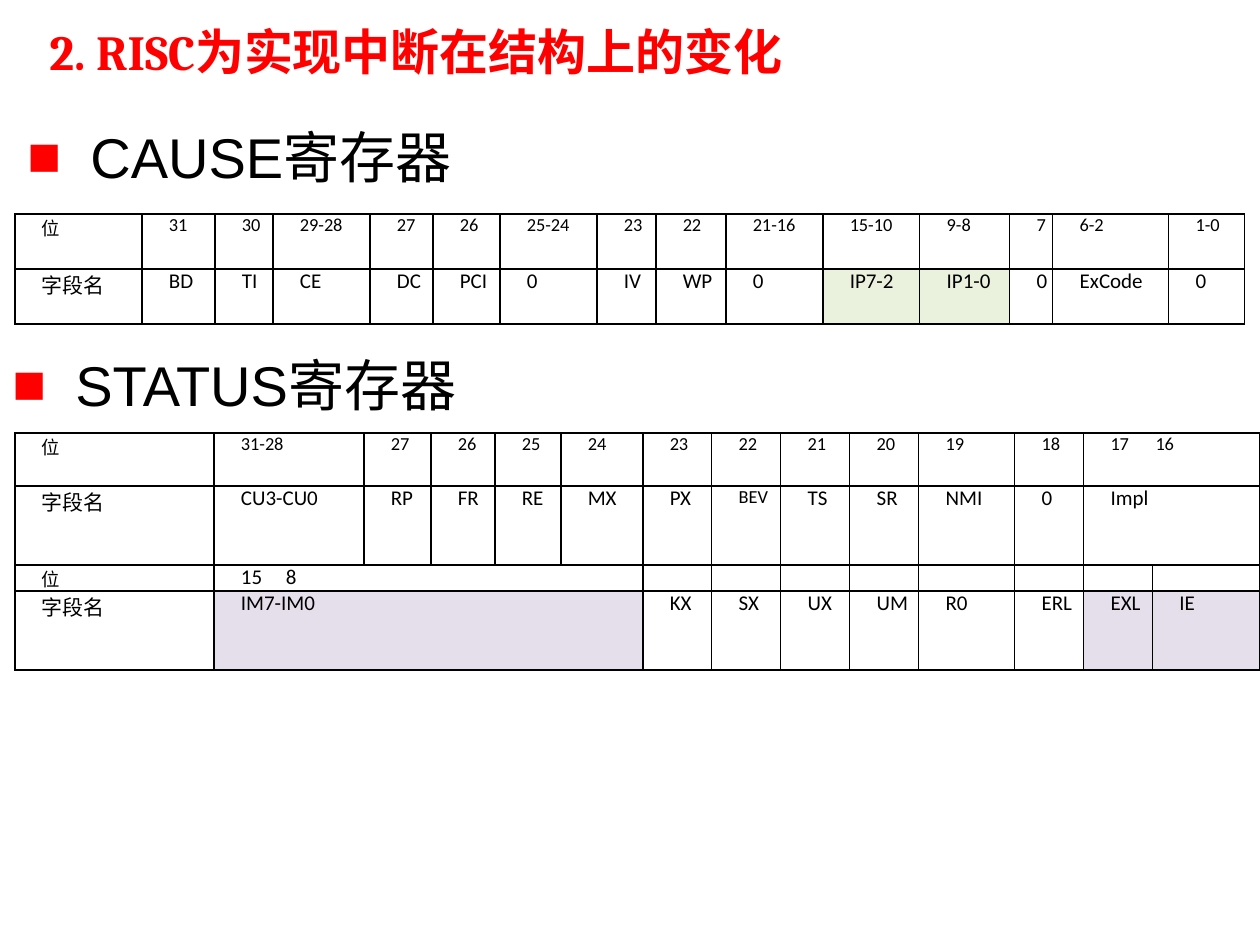
"""Builds a slide on the RISC CAUSE and STATUS interrupt registers."""
import lxml.etree
import pptx
import pptx.dml.color
import pptx.enum.text
import pptx.oxml.ns
import pptx.util

PX = 914400 // 126
COLORS = {"red": "FF0000", "black": "000000", "white": "FFFFFF", "green": "EAF1DD", "violet": "E5DFEC"}
ALIGN = pptx.enum.text.PP_ALIGN
SMALL, NORMAL = 10.5, 12

TITLE = {
    "box": (0, 0, 1235, 101),
    "text": "2. RISC为实现中断在结构上的变化",
    "font": {"name": "Cambria", "size": 28, "bold": True, "color": "red"},
}
HEADINGS = [
    {"box": (15, 116, 1201, 69), "text": "CAUSE寄存器"},
    {"box": (0, 344, 1201, 69), "text": "STATUS寄存器"},
]
HEADING_FONT = {"name": "Arial", "size": 32, "bold": False, "color": "black"}

# None continues the cell on its left.
CAUSE = {
    "origin": (15, 214),
    "columns": [127, 73, 58, 97, 63, 67, 97, 59, 70, 97, 97, 90, 43, 116, 76],
    "rows": [55, 55],
    "sizes": [SMALL, NORMAL],
    "alignments": [ALIGN.JUSTIFY, ALIGN.LEFT],
    "cells": [
        ["位", "31", "30", "29-28", "27", "26", "25-24", "23", "22", "21-16", "15-10", "9-8", "7", "6-2", "1-0"],
        ["字段名", "BD", "TI", "CE", "DC", "PCI", "0", "IV", "WP", "0", "IP7-2", "IP1-0", "0", "ExCode", "0"],
    ],
    "fills": {(1, 10): "green", (1, 11): "green"},
    "odd_sizes": {},
    "tabs": {},
}
STATUS = {
    "origin": (15, 433),
    "columns": [199, 150, 67, 64, 66, 82, 69, 69, 69, 69, 96, 69, 69, 107],
    "rows": [53, 79, 26, 79],
    "sizes": [SMALL, NORMAL, NORMAL, NORMAL],
    "alignments": [ALIGN.JUSTIFY] * 4,
    "cells": [
        ["位", "31-28", "27", "26", "25", "24", "23", "22", "21", "20", "19", "18", "17\t16", None],
        ["字段名", "CU3-CU0", "RP", "FR", "RE", "MX", "PX", "BEV", "TS", "SR", "NMI", "0", "Impl", None],
        ["位", "15\t8", None, None, None, None, "", "", "", "", "", "", "", ""],
        ["字段名", "IM7-IM0", None, None, None, None, "KX", "SX", "UX", "UM", "R0", "ERL", "EXL", "IE"],
    ],
    "fills": {
        **{(row, column): "white" for row in (1, 2, 3) for column in (10, 11)},
        **{(3, column): "violet" for column in (1, 12, 13)},
    },
    "odd_sizes": {(1, 7): SMALL, (2, 0): SMALL},
    "tabs": {(0, 12): 62, (2, 1): 384},
}


def add_element(parent, tag, **attributes):
    values = {key: str(value) for key, value in attributes.items()}
    return lxml.etree.SubElement(parent, pptx.oxml.ns.qn(tag), values)


def rgb(color):
    return pptx.dml.color.RGBColor.from_string(COLORS[color])


def add_run(paragraph, text, name, size, color, bold=False):
    run = paragraph.add_run()
    run.text = text
    for key, value in {"name": name, "size": pptx.util.Pt(size), "bold": bold}.items():
        setattr(run.font, key, value)
    run.font.color.rgb = rgb(color)


def add_text_box(slide, box, text, font):
    frame = slide.shapes.add_textbox(*(length * PX for length in box)).text_frame
    frame.word_wrap = True
    add_run(frame.paragraphs[0], text, **font)
    return frame


def add_heading(slide, box, text):
    paragraph = add_text_box(slide, box, text, HEADING_FONT).paragraphs[0]
    properties = paragraph._p.get_or_add_pPr()
    properties.set("marL", str(63 * PX))
    properties.set("indent", str(-63 * PX))
    bullet_color = add_element(properties, "a:buClr")
    add_element(bullet_color, "a:srgbClr", val=COLORS["red"])
    add_element(properties, "a:buFont", typeface="Arial")
    add_element(properties, "a:buChar", char="■")


def format_cell(cell, text, size, alignment, fill, tab):
    margins = {"margin_left": 9, "margin_right": 9, "margin_top": 0, "margin_bottom": 0}
    for key, value in margins.items():
        setattr(cell, key, value * PX)
    for side in ("a:lnL", "a:lnR", "a:lnT", "a:lnB"):
        line = add_element(cell._tc.get_or_add_tcPr(), side, w=pptx.util.Pt(1))
        solid = add_element(line, "a:solidFill")
        add_element(solid, "a:srgbClr", val=COLORS["black"])
    if fill:
        cell.fill.solid()
        cell.fill.fore_color.rgb = rgb(fill)
    else:
        cell.fill.background()
    paragraph = cell.text_frame.paragraphs[0]
    properties = paragraph._p.get_or_add_pPr()
    properties.set("indent", str(18 * PX))
    if tab:
        tabs = add_element(properties, "a:tabLst")
        add_element(tabs, "a:tab", pos=tab * PX, algn="l")
    paragraph.alignment = alignment
    if text:
        add_run(paragraph, text, "Calibri", size, "black")
    else:
        add_element(paragraph._p, "a:endParaRPr", sz=int(size * 100))


def add_register(slide, register):
    columns, rows, cells = register["columns"], register["rows"], register["cells"]
    left, top = register["origin"]
    size = (sum(columns) * PX, sum(rows) * PX)
    table = slide.shapes.add_table(len(rows), len(columns), left * PX, top * PX, *size).table
    table.first_row = table.horz_banding = False
    for column, width in zip(table.columns, columns):
        column.width = width * PX
    for row, height in zip(table.rows, rows):
        row.height = height * PX
    for r, texts in enumerate(cells):
        for c, text in enumerate(texts):
            place = (r, c)
            text_size = register["odd_sizes"].get(place, register["sizes"][r])
            format_cell(table.cell(r, c), text, text_size, register["alignments"][r],
                        register["fills"].get(place), register["tabs"].get(place))
        for c, text in enumerate(texts):
            end = c
            while end + 1 < len(texts) and texts[end + 1] is None:
                end += 1
            if text is not None and end > c:
                table.cell(r, c).merge(table.cell(r, end))


def main():
    presentation = pptx.Presentation()
    presentation.slide_width, presentation.slide_height = 1260 * PX, 945 * PX
    slide = presentation.slides.add_slide(presentation.slide_layouts[6])
    title = add_text_box(slide, **TITLE)
    title.vertical_anchor = pptx.enum.text.MSO_ANCHOR.MIDDLE
    title.paragraphs[0].alignment = ALIGN.JUSTIFY
    title.paragraphs[0]._p.get_or_add_pPr().set("indent", str(37 * PX))
    for heading, register in zip(HEADINGS, (CAUSE, STATUS)):
        add_heading(slide, **heading)
        add_register(slide, register)
    presentation.save("out.pptx")


if __name__ == "__main__":
    main()
